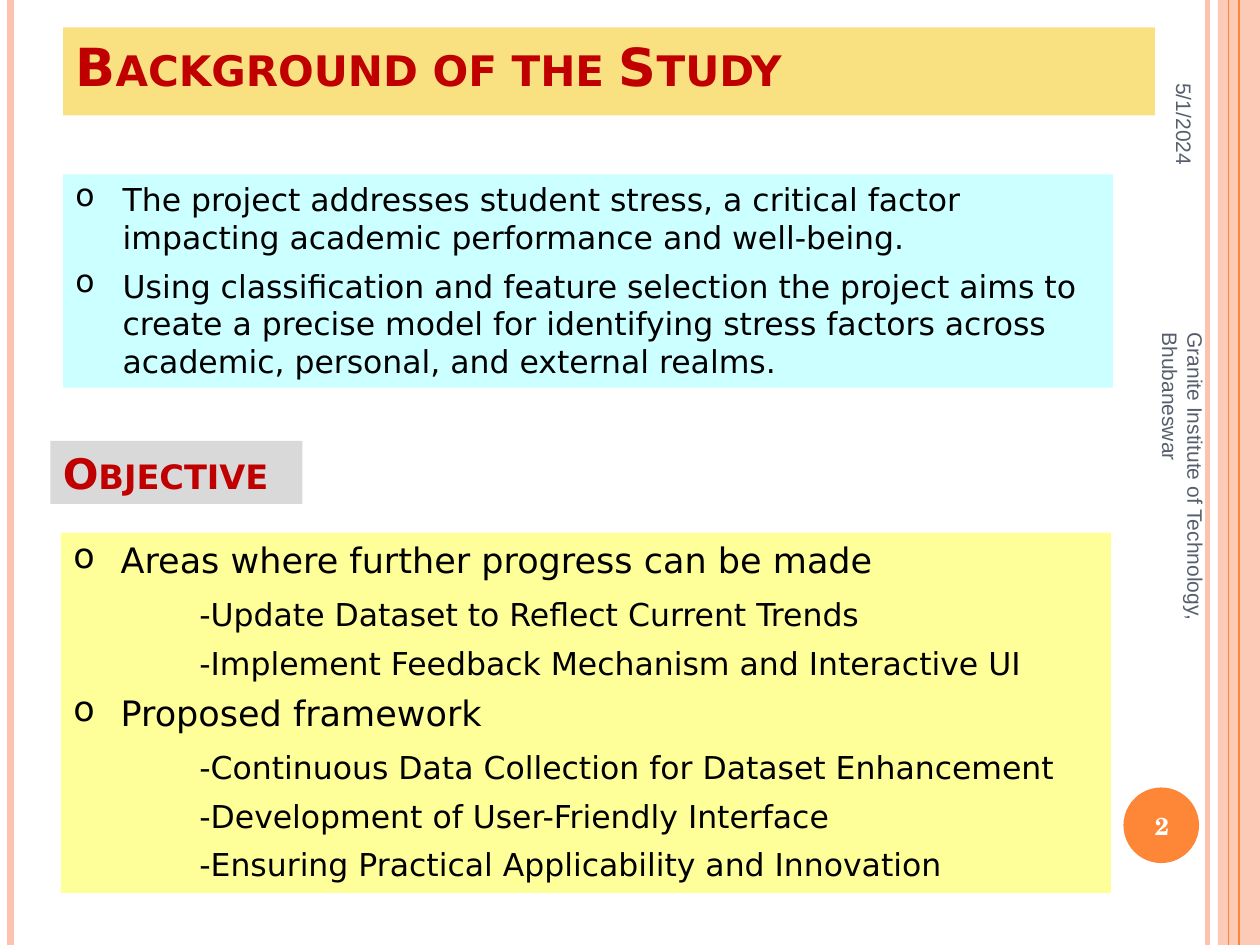
from pptx import Presentation
from pptx.dml.color import RGBColor as Rgb
from pptx.enum.shapes import MSO_CONNECTOR as Line, MSO_SHAPE as Form
from pptx.enum.text import MSO_ANCHOR as Anchor, MSO_AUTO_SIZE as Fit, PP_ALIGN as Align
from pptx.oxml.ns import qn
from pptx.util import Pt
from lxml.etree import SubElement

HUES = {
    "peach": "FEC3AE", "orange": "FE8637", "gold": "F9E181", "aqua": "CCFFFF",
    "gray": "D9D9D9", "lemon": "FFFF99", "red": "C00000", "slate": "575F6D",
    "black": "000000", "white": "FFFFFF",
}
SANS = "DejaVu Sans"


def block(form, x, y, w, h, hue):
    """Add a filled shape without outline or shadow, its text at the top."""
    shape = slide.shapes.add_shape(form, Pt(x), Pt(y), Pt(w), Pt(h))
    shape.shadow.inherit = False
    shape.fill.solid()
    shape.fill.fore_color.rgb = Rgb.from_string(HUES[hue])
    shape.line.fill.background()
    shape.text_frame.word_wrap = True
    shape.text_frame.vertical_anchor = Anchor.TOP
    return shape


def style(para, size, hue, face=SANS, bold=False, align=Align.LEFT, caps=False):
    para.alignment = align
    for run in para.runs:
        font = run.font
        font.size, font.name, font.bold = Pt(size), face, bold
        font.color.rgb = Rgb.from_string(HUES[hue])
        if caps:
            font._element.set("cap", "small")


deck = Presentation()
deck.slide_width, deck.slide_height = Pt(720), Pt(540)
slide = deck.slides.add_slide(deck.slide_layouts[5])

# Side stripes
band = block(Form.RECTANGLE, 696, 0, 24, 540, "peach")
tint = band.fill._xPr.find(qn("a:solidFill"))[0]
SubElement(tint, qn("a:alpha"), val="87000")
for x, hue, width in [(690, "peach", 3), (6, "peach", 4.5),
                      (708, "orange", 1.5), (702, "orange", 0.75)]:
    line = slide.shapes.add_connector(Line.STRAIGHT, Pt(x), 0, Pt(x), Pt(540))
    line.line.color.rgb = Rgb.from_string(HUES[hue])
    line.line.width = Pt(width)
    SubElement(line._element.spPr, qn("a:effectLst"))

# Date, footer and page number
block(Form.OVAL, 642, 450, 43.2, 43.2, "orange")
for text, x, y, w, h, turn, size, hue, face, bold, align in [
    ("5/1/2024", 636.5, 46, 80.6, 30.2, 90, 12, "slate", "Arial", False, Align.RIGHT),
    ("Granite Institute of Technology, Bhubaneswar",
     550, 294.5, 252, 28.8, 90, 12, "slate", "Arial", False, Align.LEFT),
    ("2", 640, 451.4, 48, 41, 0, 14, "white", "TeX Gyre Schola", True, Align.CENTER),
]:
    note = slide.shapes.add_textbox(Pt(x), Pt(y), Pt(w), Pt(h))
    note.rotation = turn
    frame = note.text_frame
    frame.word_wrap = True
    frame.vertical_anchor = Anchor.MIDDLE
    frame.text = text
    style(frame.paragraphs[0], size, hue, face, bold, align)

# Headings
title = slide.shapes.title
title.left, title.top, title.width, title.height = Pt(36), Pt(15.6), Pt(624), Pt(50.4)
title.fill.solid()
title.fill.fore_color.rgb = Rgb.from_string(HUES["gold"])
title.text_frame.vertical_anchor = Anchor.TOP
title.text_frame.auto_size = Fit.NONE
goal = block(Form.RECTANGLE, 28.8, 252, 144, 36, "gray")
for shape, text, size in [(title, "Background of the Study", 30), (goal, "Objective", 24)]:
    shape.text_frame.text = text
    style(shape.text_frame.paragraphs[0], size, "red", bold=True, caps=True)

# Text panels: each row is (has bullet, size, text)
study = [
    (True, 18, "The project addresses student stress, a critical factor impacting "
               "academic performance and well-being."),
    (True, 18, "Using classification and feature selection the project aims to create "
               "a precise model for identifying stress factors across academic, "
               "personal, and external realms."),
]
plan = [
    (True, 20, "Areas where further progress can be made"),
    (False, 18, "-Update Dataset to Reflect Current Trends"),
    (False, 18, "-Implement Feedback Mechanism and Interactive UI"),
    (True, 20, "Proposed framework"),
    (False, 18, "-Continuous Data Collection for Dataset Enhancement"),
    (False, 18, "-Development of User-Friendly Interface"),
    (False, 18, "-Ensuring Practical Applicability and Innovation"),
]
for x, y, h, hue, rows in [(36, 99.6, 122, "aqua", study), (34.8, 304.3, 206, "lemon", plan)]:
    frame = block(Form.RECTANGLE, x, y, 600, h, hue).text_frame
    frame.text = "\n".join(text for _, _, text in rows)
    led = False
    for para, (dot, size, _) in zip(frame.paragraphs, rows):
        style(para, size, "black")
        para.space_after = Pt(6)
        if led and not dot:
            para.space_before = Pt(2.3)
        props = para._p.get_or_add_pPr()
        props.set("marL", str(Pt(27 if dot else 72)))
        props.set("indent", str(Pt(-27 if dot else 0)))
        if dot:
            SubElement(props, qn("a:buChar"), char="o")
        led = dot

deck.save("out.pptx")
